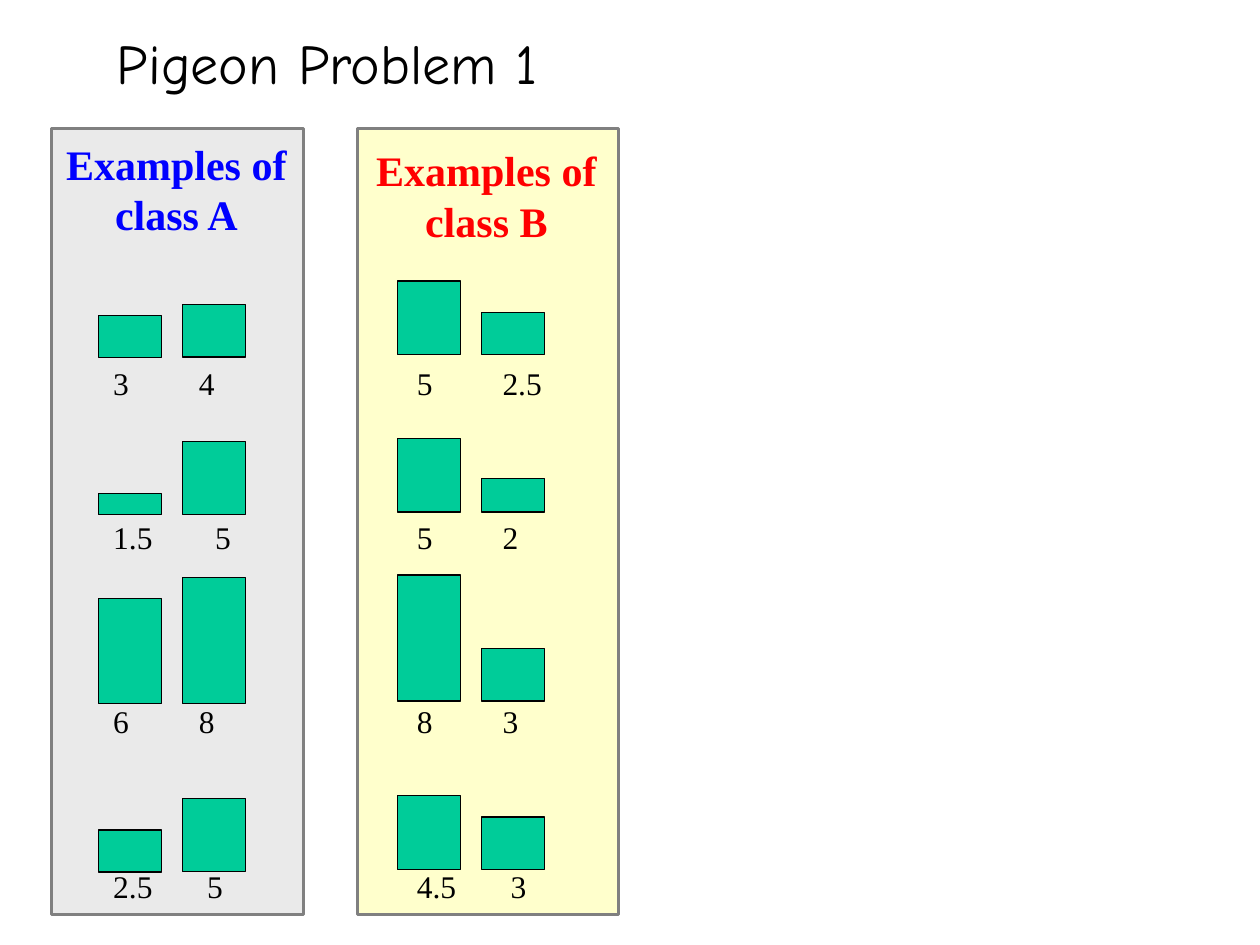
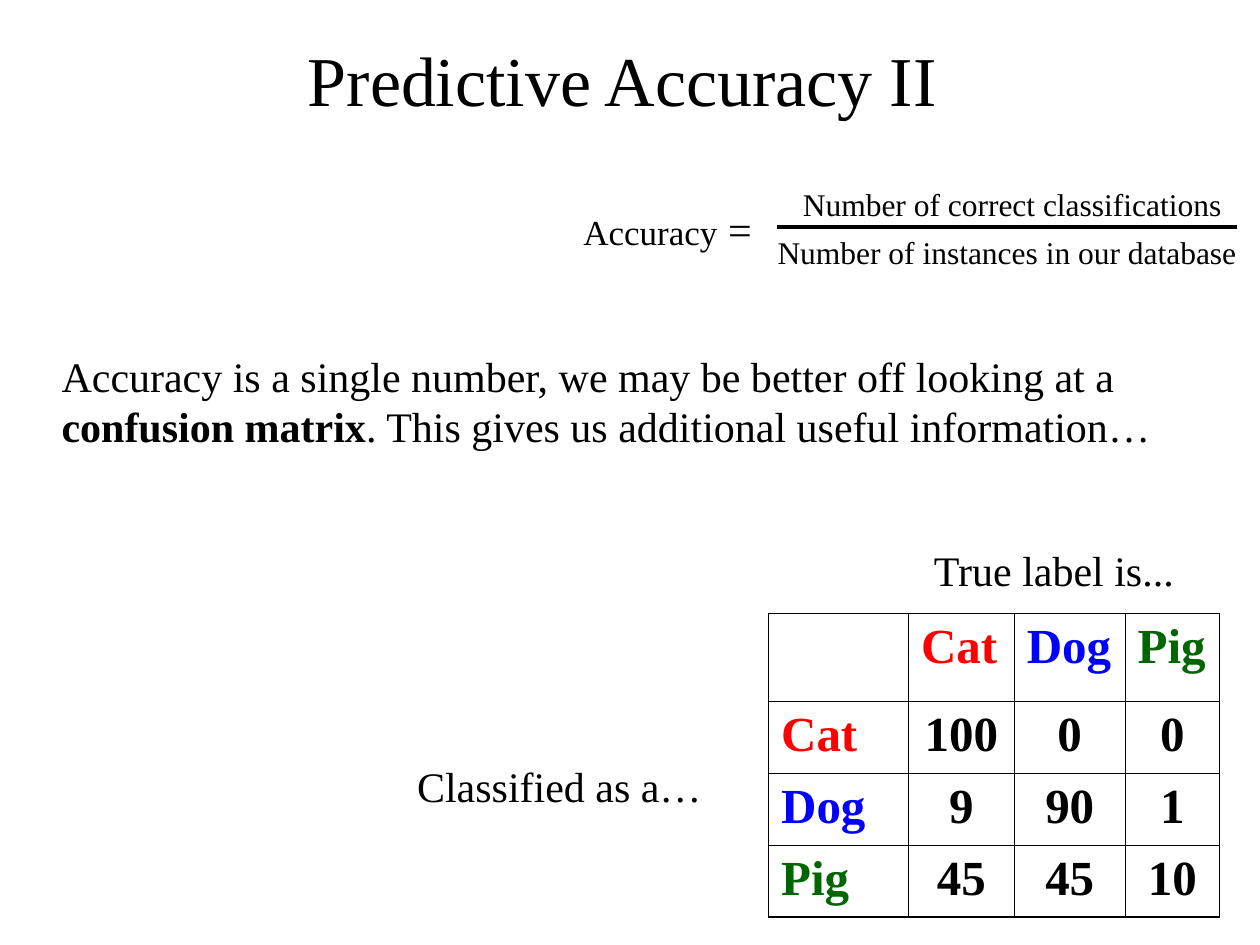
from dataclasses import dataclass
from typing import Any, NamedTuple

import lxml.etree
import pptx
import pptx.dml.color
import pptx.enum.shapes
import pptx.enum.text
import pptx.oxml
import pptx.oxml.ns
import pptx.util

Align = pptx.enum.text.PP_ALIGN
Anchor = pptx.enum.text.MSO_ANCHOR
Preset = pptx.enum.shapes.MSO_SHAPE


@dataclass(frozen=True)
class Theme:
    serif: str = "Times New Roman"
    casual: str = "Comic Neue"
    black: str = "000000"
    blue: str = "0000FF"
    red: str = "FF0000"
    green: str = "006600"
    bar: str = "00CC99"
    panel_edge: str = "808080"
    panel_a: str = "EAEAEA"
    panel_b: str = "FFFFCC"
    title: int = 40
    casual_title: int = 32
    matrix: int = 28
    body: int = 24
    term: int = 20
    label: int = 18
    panel_line: float = 1.5
    bar_line: float = 0.75
    fraction_line: float = 2
    outer_border: float = 1.08
    inner_border: float = 0.45


class Box(NamedTuple):
    column: float
    row: float
    columns: float
    rows: float


class Words(NamedTuple):
    text: str
    size: int
    color: str = "000000"
    bold: bool = False
    font: str = "Times New Roman"


class Example(NamedTuple):
    left: str
    right: str
    left_twelfths: float
    right_twelfths: float
    right_stop: float = 6.8


class ExamplePanel(NamedTuple):
    frame: Box
    fill: str
    heading_box: Box
    heading: Words
    bar_column: float
    label_column: float
    lift: float
    examples: tuple[Example, ...]


THEME = Theme()
COLUMNS, ROWS = 100, 75
SLIDE_WIDTH, SLIDE_HEIGHT = pptx.util.Inches(10), pptx.util.Inches(7.5)

BASELINES = (28.35, 40.85, 55.85, 69.2)
LABEL_ROWS = (28.4, 40.6, 55.2, 68.3)
BAR_COLUMNS, BAR_STEP = 5, 6.67
ROWS_PER_TWELFTH = 10 / 12

PANELS = (
    ExamplePanel(
        Box(4.1, 10.2, 20, 62.4), THEME.panel_a, Box(2.7, 10.5, 22.6, 9),
        Words("Examples of class A", THEME.body, THEME.blue, True), 7.8, 8, 0,
        (Example("3", "4", 4, 5), Example("1.5", "5", 2, 7, 8.1),
         Example("6", "8", 10, 12), Example("2.5", "5", 4, 7, 7.45)),
    ),
    ExamplePanel(
        Box(28.4, 10.2, 20.7, 62.4), THEME.panel_b, Box(28.5, 11, 20.2, 9),
        Words("Examples of class B", THEME.body, THEME.red, True), 31.55, 32.1, 0.2,
        (Example("5", "2.5", 7, 4), Example("5", "2", 7, 3.2),
         Example("8", "3", 12, 5), Example("4.5", "3", 7, 5, 7.45)),
    ),
)

ANIMALS = {"Cat": THEME.red, "Dog": THEME.blue, "Pig": THEME.green}
CONFUSION = ((100, 0, 0), (9, 90, 1), (45, 45, 10))
MATRIX_COLUMNS = (11.1, 8.4, 8.8, 7.5)
MATRIX_ROWS = (7, 5.7, 5.7, 5.7)


def across(columns: float) -> int:
    return round(SLIDE_WIDTH * columns / COLUMNS)


def down(rows: float) -> int:
    return round(SLIDE_HEIGHT * rows / ROWS)


def place(box: Box) -> tuple[int, int, int, int]:
    return across(box.column), down(box.row), across(box.columns), down(box.rows)


def rgb(color: str) -> pptx.dml.color.RGBColor:
    return pptx.dml.color.RGBColor.from_string(color)


def write(paragraph: Any, *pieces: Words) -> None:
    for piece in pieces:
        run = paragraph.add_run()
        run.text = piece.text
        run.font.name = piece.font
        run.font.size = pptx.util.Pt(piece.size)
        run.font.bold = piece.bold
        run.font.color.rgb = rgb(piece.color)


def add_text(shapes: Any, box: Box, *lines: tuple[Words, ...], align: Any = Align.CENTER,
             wrap: bool = True, anchor: Any = Anchor.TOP) -> Any:
    frame = shapes.add_textbox(*place(box)).text_frame
    frame.word_wrap = wrap
    frame.vertical_anchor = anchor
    for index, pieces in enumerate(lines):
        paragraph = frame.add_paragraph() if index else frame.paragraphs[0]
        paragraph.alignment = align
        write(paragraph, *pieces)
    return frame


def add_rectangle(shapes: Any, box: Box, fill: str, line: str, weight: float) -> None:
    rectangle = shapes.add_shape(Preset.RECTANGLE, *place(box))
    rectangle.shadow.inherit = False
    rectangle.fill.solid()
    rectangle.fill.fore_color.rgb = rgb(fill)
    rectangle.line.color.rgb = rgb(line)
    rectangle.line.width = pptx.util.Pt(weight)


def add_tab_stop(paragraph: Any, columns: float) -> None:
    properties = paragraph._p.get_or_add_pPr()
    stops = lxml.etree.SubElement(properties, pptx.oxml.ns.qn("a:tabLst"))
    lxml.etree.SubElement(stops, pptx.oxml.ns.qn("a:tab"), pos=str(across(columns)), algn="l")


def add_example(shapes: Any, panel: ExamplePanel, example: Example,
                baseline: float, label_row: float) -> None:
    for index, twelfths in enumerate((example.left_twelfths, example.right_twelfths)):
        height = twelfths * ROWS_PER_TWELFTH
        bar = Box(panel.bar_column + index * BAR_STEP, baseline - panel.lift - height,
                  BAR_COLUMNS, height)
        add_rectangle(shapes, bar, THEME.bar, THEME.black, THEME.bar_line)
    values = Words(f"{example.left}\t{example.right}", THEME.label)
    frame = add_text(shapes, Box(panel.label_column, label_row, 12.5, 4), (values,),
                     align=Align.LEFT)
    add_tab_stop(frame.paragraphs[0], example.right_stop)


def add_panel(slide: Any, panel: ExamplePanel) -> None:
    shapes = slide.shapes.add_group_shape().shapes
    add_rectangle(shapes, panel.frame, panel.fill, THEME.panel_edge, THEME.panel_line)
    add_text(shapes, panel.heading_box, (panel.heading,))
    for example, baseline, label_row in zip(panel.examples, BASELINES, LABEL_ROWS):
        add_example(shapes, panel, example, baseline, label_row)


def add_line(slide: Any, start: float, end: float, row: float) -> None:
    line = slide.shapes.add_connector(
        pptx.enum.shapes.MSO_CONNECTOR.STRAIGHT, across(start), down(row), across(end), down(row))
    line.line.color.rgb = rgb(THEME.black)
    line.line.width = pptx.util.Pt(THEME.fraction_line)
    lxml.etree.SubElement(line._element.spPr, pptx.oxml.ns.qn("a:effectLst"))


def set_borders(cell: Any, outer: dict[str, bool]) -> None:
    properties = cell._tc.get_or_add_tcPr()
    for side, is_outer in outer.items():
        weight = THEME.outer_border if is_outer else THEME.inner_border
        edge = lxml.etree.SubElement(properties, pptx.oxml.ns.qn(f"a:ln{side}"),
                                     w=str(pptx.util.Pt(weight)))
        fill = lxml.etree.SubElement(edge, pptx.oxml.ns.qn("a:solidFill"))
        lxml.etree.SubElement(fill, pptx.oxml.ns.qn("a:srgbClr"), val=THEME.black)


def add_confusion_matrix(slide: Any, column: float, row: float) -> None:
    box = Box(column, row, sum(MATRIX_COLUMNS), sum(MATRIX_ROWS))
    size = len(ANIMALS) + 1
    matrix = slide.shapes.add_table(size, size, *place(box)).table
    matrix.first_row = matrix.horz_banding = False
    for index, (columns, rows) in enumerate(zip(MATRIX_COLUMNS, MATRIX_ROWS)):
        matrix.columns[index].width = across(columns)
        matrix.rows[index].height = down(rows)
    contents = [["", *ANIMALS]] + [[name, *counts] for name, counts in zip(ANIMALS, CONFUSION)]
    for i, entries in enumerate(contents):
        for j, entry in enumerate(entries):
            cell = matrix.cell(i, j)
            set_borders(cell, {"L": j == 0, "R": j == size - 1, "T": i == 0, "B": i == size - 1})
            cell.fill.background()
            if entry == "":
                continue
            paragraph = cell.text_frame.paragraphs[0]
            paragraph.space_before = pptx.util.Pt(7)
            paragraph.alignment = Align.LEFT if entry in ANIMALS else Align.CENTER
            color = ANIMALS.get(entry, THEME.black)
            write(paragraph, Words(str(entry), THEME.matrix, color, True))


def build_pigeon_problem(slide: Any) -> None:
    for panel in PANELS:
        add_panel(slide, panel)
    title = Words("Pigeon Problem 1", THEME.casual_title, font=THEME.casual)
    add_text(slide.shapes, Box(8.3, 1.8, 35.5, 6.4), (title,), align=Align.LEFT, wrap=False)


def build_predictive_accuracy(slide: Any) -> None:
    shapes = slide.shapes
    add_text(shapes, Box(6.9, 0, 85, 12.5), (Words("Predictive Accuracy II", THEME.title),),
             anchor=Anchor.MIDDLE)
    add_text(shapes, Box(45.3, 15.7, 16.2, 5),
             (Words("Accuracy", THEME.term), Words(" = ", THEME.body)), wrap=False)
    add_text(shapes, Box(60.7, 14.2, 39.3, 8),
             (Words("Number of correct classifications", THEME.label),),
             (Words("Number of instances in our database", THEME.label), Words(" ", THEME.body)),
             wrap=False)
    add_line(slide, 98.2, 61.7, 18)
    add_text(shapes, Box(3.9, 27.3, 89.2, 9),
             (Words("Accuracy is a single number, we may be better off looking at a ", THEME.body),
              Words("confusion matrix", THEME.body, bold=True),
              Words(". This gives us additional useful information…", THEME.body)),
             align=Align.LEFT)
    add_confusion_matrix(slide, 61, 48.7)
    add_text(shapes, Box(32.1, 59.9, 24.6, 5), (Words("Classified as a…", THEME.body),), wrap=False)
    add_text(shapes, Box(73.1, 42.7, 21.1, 5), (Words("True label is...", THEME.body),), wrap=False)


def main() -> None:
    deck = pptx.Presentation()
    deck.slide_width, deck.slide_height = SLIDE_WIDTH, SLIDE_HEIGHT
    blank = deck.slide_layouts[6]
    for build in (build_pigeon_problem, build_predictive_accuracy):
        build(deck.slides.add_slide(blank))
    deck.save("out.pptx")


if __name__ == "__main__":
    main()
